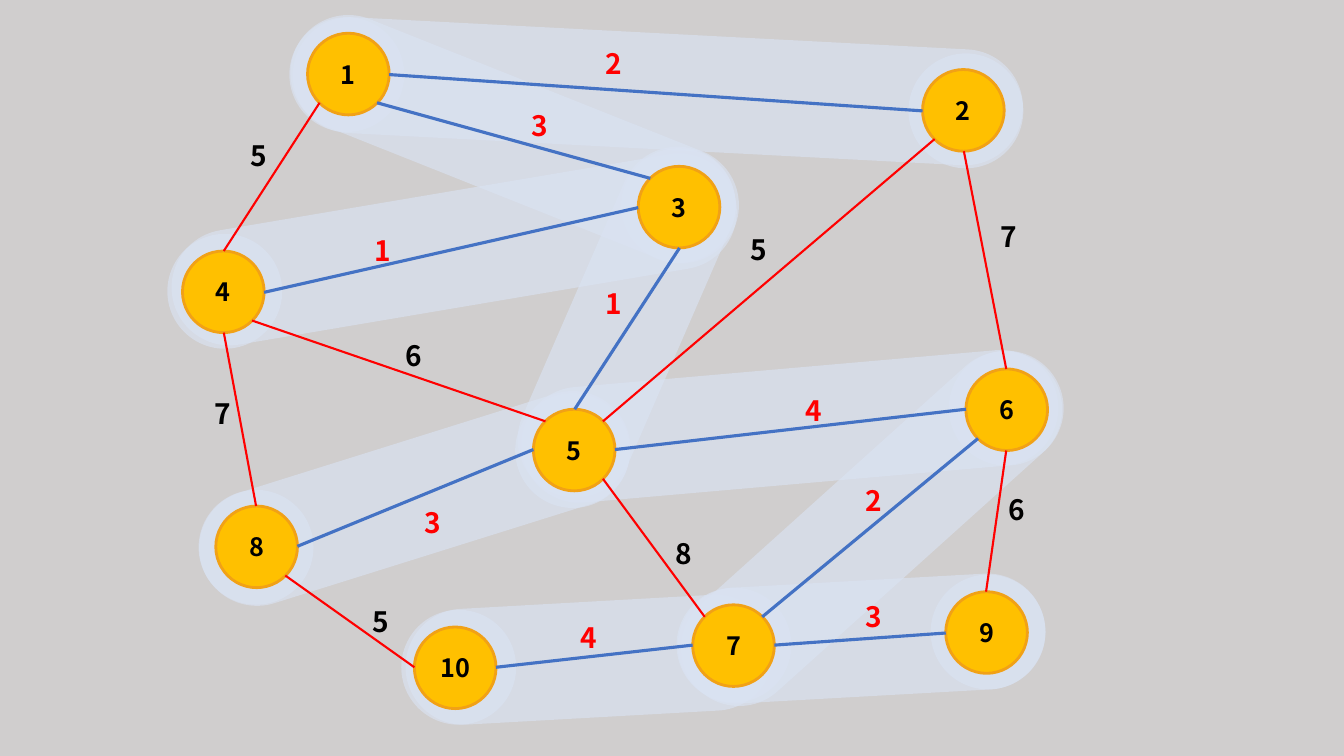
from math import sqrt

from lxml.etree import SubElement
from pptx import Presentation
from pptx.dml.color import RGBColor
from pptx.enum.shapes import MSO_CONNECTOR, MSO_SHAPE
from pptx.enum.text import MSO_ANCHOR, MSO_AUTO_SIZE, PP_ALIGN
from pptx.oxml.ns import qn
from pptx.util import Emu, Pt

BACKGROUND = RGBColor(0xD0, 0xCE, 0xCE)
BAND = RGBColor(0xDA, 0xE3, 0xF3)
NODE_FILL = RGBColor(0xFF, 0xC0, 0x00)
NODE_LINE = RGBColor(0xF1, 0xA1, 0x16)
BLUE = RGBColor(0x44, 0x72, 0xC4)
RED = RGBColor(0xFF, 0x00, 0x00)
BLACK = RGBColor(0x00, 0x00, 0x00)

EMU_PER_PX = 9144
NODE_SIZE = 81
HALO_SIZE = 114
BAND_WIDTH = 115
DIAGONAL = 1 / sqrt(2)

SITES = {
    "top": (0, -1),
    "bottom": (0, 1),
    "left": (-1, 0),
    "right": (1, 0),
    "top left": (-DIAGONAL, -DIAGONAL),
    "top right": (DIAGONAL, -DIAGONAL),
    "bottom left": (-DIAGONAL, DIAGONAL),
    "bottom right": (DIAGONAL, DIAGONAL),
}

NODES = {
    1: (305, 33),
    2: (915, 69),
    3: (633, 165),
    4: (181, 249),
    5: (529, 406),
    6: (958, 366),
    7: (687, 600),
    8: (214, 502),
    9: (938, 587),
    10: (411, 622),
}

HALOS = [
    (398, 605), (923, 570), (671, 583), (941, 348), (197, 486),
    (901, 53), (287, 17), (166, 232), (616, 147), (511, 390),
]

BANDS = [
    (527, 472, 365, 266.8),
    (797, 451, 365, 266.8),
    (807, 290, 469, 228),
    (726, 156, 534, 265),
    (354, 273, 443, 252.6),
    (595, -272, 725, 273),
    (453, -97, 470, 291.7),
    (393, -36, 567, 260.4),
    (564, 135, 369, 203.5),
]

TREE_EDGES = [
    (3, "top left", 1, "bottom right", 3, 517, 103),
    (2, "left", 1, "right", 2, 591, 41),
    (3, "bottom", 5, "top", 1, 591, 279),
    (3, "left", 4, "right", 1, 362, 227),
    (5, "left", 8, "right", 3, 411, 497),
    (6, "left", 5, "right", 4, 789, 385),
    (6, "bottom left", 7, "top right", 2, 849, 475),
    (10, "right", 7, "left", 4, 566, 611),
    (9, "left", 7, "right", 3, 849, 590),
]

OTHER_EDGES = [
    (4, "top", 1, "bottom left", 5, 239, 132),
    (2, "bottom", 6, "top", 7, 982, 213),
    (2, "bottom left", 5, "top right", 5, 735, 226),
    (4, "bottom", 8, "top", 7, 203, 388),
    (5, "top left", 4, "bottom right", 6, 392, 331),
    (5, "bottom right", 7, "top left", 8, 660, 527),
    (9, "top", 6, "bottom", 6, 990, 484),
    (10, "left", 8, "bottom right", 5, 360, 595),
]


def px(*lengths):
    """Turn pixel lengths into EMU."""
    return [Emu(length * EMU_PER_PX) for length in lengths]


def anchor(node, site):
    """Return the point on the rim of a node at a named site."""
    return [round(start + NODE_SIZE / 2 * (1 + direction))
            for start, direction in zip(NODES[node], SITES[site])]


class GraphSlide:
    """Draw the parts of a weighted graph on one slide."""

    font_name = "Noto Sans CJK KR"

    def __init__(self, presentation):
        """Add a blank slide with a plain background."""
        self.slide = presentation.slides.add_slide(presentation.slide_layouts[6])
        self.slide.background.fill.solid()
        self.slide.background.fill.fore_color.rgb = BACKGROUND

    def shape(self, kind, left, top, width, height, color):
        """Add a filled shape without outline or shadow."""
        shape = self.slide.shapes.add_shape(kind, *px(left, top, width, height))
        shape.shadow.inherit = False
        shape.fill.solid()
        shape.fill.fore_color.rgb = color
        shape.line.fill.background()
        return shape

    def translucent(self, kind, left, top, width, height):
        """Add a translucent highlight shape."""
        shape = self.shape(kind, left, top, width, height, BAND)
        color = shape._element.spPr.find(qn("a:solidFill"))[0]
        SubElement(color, qn("a:alpha")).set("val", "63000")
        return shape

    def band(self, left, top, length, rotation):
        """Add a rotated capsule around a tree edge."""
        band = self.translucent(MSO_SHAPE.ROUNDED_RECTANGLE, left, top, BAND_WIDTH, length)
        band.adjustments[0] = 0.5
        band.rotation = rotation

    def halo(self, left, top):
        """Add a highlight disc behind a node."""
        self.translucent(MSO_SHAPE.OVAL, left, top, HALO_SIZE, HALO_SIZE)

    def label(self, text_frame, text, size, color):
        """Set bold text in the style of the slide."""
        text_frame.text = str(text)
        font = text_frame.paragraphs[0].runs[0].font
        font.name = self.font_name
        font.size = Pt(size)
        font.bold = True
        font.color.rgb = color

    def node(self, number, left, top):
        """Add a numbered node."""
        node = self.shape(MSO_SHAPE.OVAL, left, top, NODE_SIZE, NODE_SIZE, NODE_FILL)
        node.line.color.rgb = NODE_LINE
        node.line.width = Pt(2)
        self.label(node.text_frame, number, 18, BLACK)
        node.text_frame.vertical_anchor = MSO_ANCHOR.MIDDLE
        node.text_frame.paragraphs[0].alignment = PP_ALIGN.CENTER

    def line(self, start, end, color, width):
        """Add a straight line between two points."""
        line = self.slide.shapes.add_connector(MSO_CONNECTOR.STRAIGHT, *px(*start, *end))
        line.line.color.rgb = color
        line.line.width = Pt(width)
        SubElement(line._element.spPr, qn("a:effectLst"))

    def weight(self, value, left, top, color):
        """Add the weight label of an edge."""
        text_frame = self.slide.shapes.add_textbox(*px(left, top, 36, 44)).text_frame
        text_frame.word_wrap = False
        text_frame.auto_size = MSO_AUTO_SIZE.SHAPE_TO_FIT_TEXT
        self.label(text_frame, value, 20, color)

    def edge(self, edge, line_color, line_width, text_color):
        """Add an edge with its weight."""
        first, first_site, second, second_site, value, left, top = edge
        self.line(anchor(first, first_site), anchor(second, second_site), line_color, line_width)
        self.weight(value, left, top, text_color)


def main():
    """Build the spanning tree slide."""
    presentation = Presentation()
    presentation.slide_width, presentation.slide_height = px(1333, 750)
    graph = GraphSlide(presentation)
    for band in BANDS:
        graph.band(*band)
    for halo in HALOS:
        graph.halo(*halo)
    for number, position in NODES.items():
        graph.node(number, *position)
    for edge in OTHER_EDGES:
        graph.edge(edge, RED, 1.5, BLACK)
    for edge in TREE_EDGES:
        graph.edge(edge, BLUE, 2.25, RED)
    presentation.save("out.pptx")


if __name__ == "__main__":
    main()
